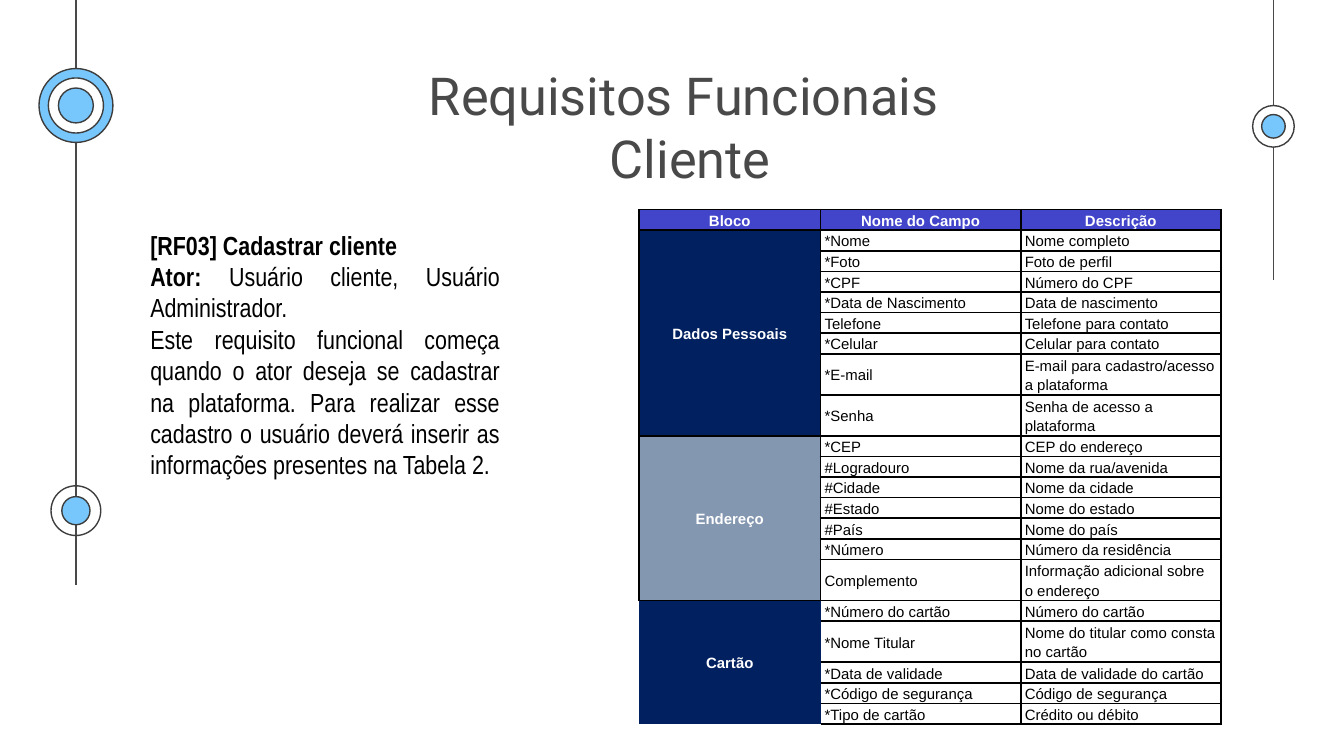
from lxml import etree
from pptx import Presentation
from pptx.dml.color import RGBColor
from pptx.enum.shapes import MSO_CONNECTOR, MSO_SHAPE
from pptx.enum.text import MSO_ANCHOR, MSO_AUTO_SIZE, PP_ALIGN
from pptx.oxml.ns import qn
from pptx.util import Inches, Pt

STRAIGHT, OVAL = MSO_CONNECTOR.STRAIGHT, MSO_SHAPE.OVAL
CENTER, LEFT, JUSTIFY = PP_ALIGN.CENTER, PP_ALIGN.LEFT, PP_ALIGN.JUSTIFY
MIDDLE = MSO_ANCHOR.MIDDLE
FIT_SHAPE = MSO_AUTO_SIZE.SHAPE_TO_FIT_TEXT

COLORS = {
    "black": "000000", "white": "FFFFFF", "title": "494949", "ring": "3D3D3D",
    "sky": "77C6FC", "header": "4245CA", "navy": "002060", "steel": "8497B0",
}
COLUMNS, ROWS = 100, 56.25  # grid units of a tenth of an inch
LINE_WIDTH = Pt(0.75)
ALL_SIDES = "LRTB"

HEADINGS = ("Bloco", "Nome do Campo", "Descrição")
COLUMN_WIDTHS = (13.5, 14.9, 14.9)
ROW_HEIGHT = 1.5
TALL_ROWS = {"*E-mail", "*Senha", "Complemento", "*Nome Titular"}
# block, fill, border sides of the block, border sides of its field names, fields
BLOCKS = [
    ("Dados Pessoais", "navy", ALL_SIDES, ALL_SIDES, [
        ("*Nome", "Nome completo"),
        ("*Foto", "Foto de perfil"),
        ("*CPF", "Número do CPF"),
        ("*Data de Nascimento", "Data de nascimento"),
        ("Telefone", "Telefone para contato"),
        ("*Celular", "Celular para contato"),
        ("*E-mail", "E-mail para cadastro/acesso a plataforma"),
        ("*Senha", "Senha de acesso a plataforma"),
    ]),
    ("Endereço", "steel", ALL_SIDES, ALL_SIDES, [
        ("*CEP", "CEP do endereço"),
        ("#Logradouro", "Nome da rua/avenida"),
        ("#Cidade", "Nome da cidade"),
        ("#Estado", "Nome do estado"),
        ("#País", "Nome do país"),
        ("*Número", "Número da residência"),
        ("Complemento", "Informação adicional sobre o endereço"),
    ]),
    ("Cartão", "navy", "T", "RTB", [
        ("*Número do cartão", "Número do cartão"),
        ("*Nome Titular", "Nome do titular como consta no cartão"),
        ("*Data de validade", "Data de validade do cartão"),
        ("*Código de segurança", "Código de segurança"),
        ("*Tipo de cartão", "Crédito ou débito"),
    ]),
]
REQUIREMENT = [
    [("[RF03] Cadastrar cliente", True)],
    [("Ator:", True), (" Usuário cliente, Usuário Administrador.", False)],
    [("Este requisito funcional começa quando o ator deseja se cadastrar na "
      "plataforma. Para realizar esse cadastro o usuário deverá inserir as "
      "informações presentes na Tabela 2.", False)],
]


def grid(units):
    return Inches(units / 10)


def color(name):
    return RGBColor.from_string(COLORS[name])


def add_run(paragraph, text, font, size, color_name, bold=False):
    run = paragraph.add_run()
    run.text = text
    run.font.name = font
    run.font.size = Pt(size)
    run.font.bold = bold
    run.font.color.rgb = color(color_name)


def add_timeline(slide, x, length):
    """Draw a vertical line that hangs from the top edge."""
    line = slide.shapes.add_connector(STRAIGHT, grid(x), 0, grid(x), grid(length))
    line.line.color.rgb = color("title")
    line.line.width = LINE_WIDTH
    etree.SubElement(line._element.spPr, qn("a:effectLst"))


def add_target(slide, x, y, discs):
    """Draw concentric discs, given as (diameter, fill or None) from the outside in."""
    for diameter, fill in discs:
        disc = slide.shapes.add_shape(OVAL, grid(x - diameter / 2), grid(y - diameter / 2),
                                      grid(diameter), grid(diameter))
        disc.shadow.inherit = False
        disc.line.color.rgb = color("ring")
        disc.line.width = LINE_WIDTH
        if fill:
            disc.fill.solid()
            disc.fill.fore_color.rgb = color(fill)
        else:
            disc.fill.background()


def add_text_frame(slide, x, y, width, height):
    box = slide.shapes.add_textbox(grid(x), grid(y), grid(width), grid(height))
    box.text_frame.word_wrap = True
    return box.text_frame


def add_title(slide):
    frame = add_text_frame(slide, 30.55, 3.7, 41.6, 6.3)
    frame.margin_top = frame.margin_bottom = grid(1)
    heading = frame.paragraphs[0]
    heading.alignment = CENTER
    add_run(heading, "Requisitos Funcionais ", "Roboto", 28, "title")
    heading.add_line_break()
    add_run(heading, "Cliente", "Roboto", 28, "title")


def add_requirement(slide):
    frame = add_text_frame(slide, 10.2, 16.55, 28, 26.9)
    frame.auto_size = FIT_SHAPE
    for index, runs in enumerate(REQUIREMENT):
        paragraph = frame.add_paragraph() if index else frame.paragraphs[0]
        paragraph.alignment = JUSTIFY
        for text, bold in runs:
            add_run(paragraph, text, "Arial Narrow", 14, "black", bold)


def set_borders(cell, sides):
    """Draw the listed sides (L, R, T, B) in black and clear the others."""
    properties = cell._tc.get_or_add_tcPr()
    for index, side in enumerate(ALL_SIDES):
        edge = etree.Element(qn(f"a:ln{side}"), w=str(Pt(1)))
        if side in sides:
            fill = etree.SubElement(edge, qn("a:solidFill"))
            etree.SubElement(fill, qn("a:srgbClr"), val=COLORS["black"])
        else:
            etree.SubElement(edge, qn("a:noFill"))
        properties.insert(index, edge)


def style_cell(cell, fill, sides):
    cell.margin_left = cell.margin_right = grid(0.3)
    cell.margin_top = cell.margin_bottom = 0
    cell.vertical_anchor = MIDDLE
    if fill:
        cell.fill.solid()
        cell.fill.fore_color.rgb = color(fill)
    else:
        cell.fill.background()
    set_borders(cell, sides)


def fill_cell(cell, text, fill=None, sides=ALL_SIDES):
    """Write a cell; a filled one is a label in bold white, centred."""
    style_cell(cell, fill, sides)
    paragraph = cell.text_frame.paragraphs[0]
    paragraph.alignment = CENTER if fill else LEFT
    paragraph.line_spacing = 1.15
    add_run(paragraph, text, "Arial", 8, "white" if fill else "black", bool(fill))


def add_field_table(slide):
    row_count = 1 + sum(len(block[-1]) for block in BLOCKS)
    table = slide.shapes.add_table(row_count, len(HEADINGS), grid(47.55), grid(15.6),
                                   grid(sum(COLUMN_WIDTHS)),
                                   grid(ROW_HEIGHT * (row_count + len(TALL_ROWS)))).table
    table.first_row = table.horz_banding = False
    for column, width in zip(table.columns, COLUMN_WIDTHS):
        column.width = grid(width)
    for index, heading in enumerate(HEADINGS):
        fill_cell(table.cell(0, index), heading, "header")
    table.rows[0].height = grid(ROW_HEIGHT)

    first = 1
    for block, fill, block_sides, name_sides, fields in BLOCKS:
        last = first + len(fields) - 1
        table.cell(first, 0).merge(table.cell(last, 0))
        fill_cell(table.cell(first, 0), block, fill, block_sides)
        for row, (name, description) in enumerate(fields, first):
            table.rows[row].height = grid(ROW_HEIGHT * (2 if name in TALL_ROWS else 1))
            if row > first:
                style_cell(table.cell(row, 0), fill, block_sides.replace("T", ""))
            fill_cell(table.cell(row, 1), name, sides=name_sides)
            fill_cell(table.cell(row, 2), description)
        first = last + 1


def main():
    deck = Presentation()
    deck.slide_width, deck.slide_height = grid(COLUMNS), grid(ROWS)
    slide = deck.slides.add_slide(deck.slide_layouts[6])
    left_line, right_line = 5.65, 94.75
    add_timeline(slide, left_line, 43.5)
    add_timeline(slide, right_line, 20.8)
    add_target(slide, left_line, 38, [(3.7, None), (2.1, "sky")])
    add_target(slide, right_line, 9.4, [(3.1, "white"), (1.75, "sky")])
    add_target(slide, left_line, 7.85, [(5.5, "sky"), (4.1, "white"), (2.6, "sky")])
    add_title(slide)
    add_requirement(slide)
    add_field_table(slide)
    deck.save("out.pptx")


if __name__ == "__main__":
    main()
